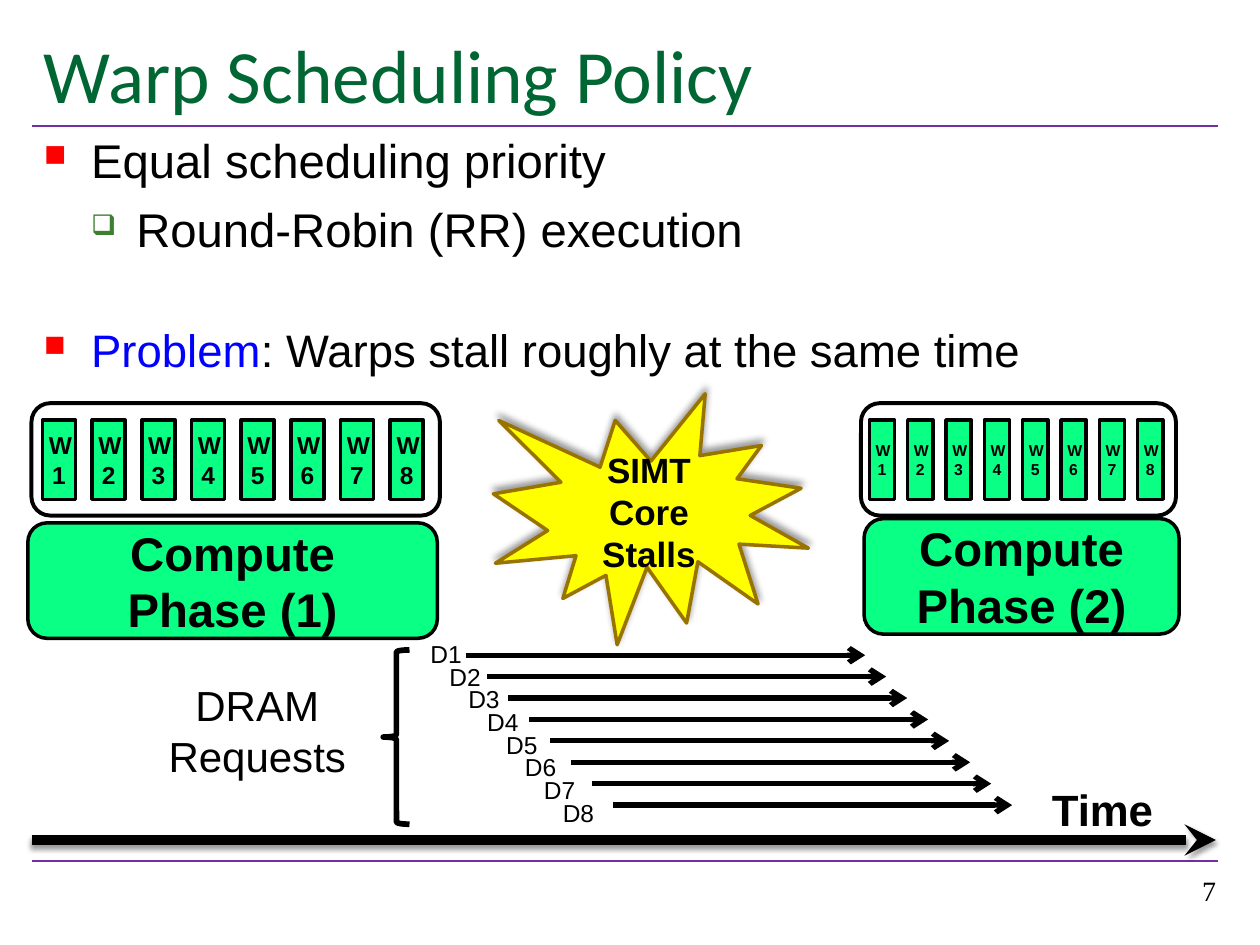
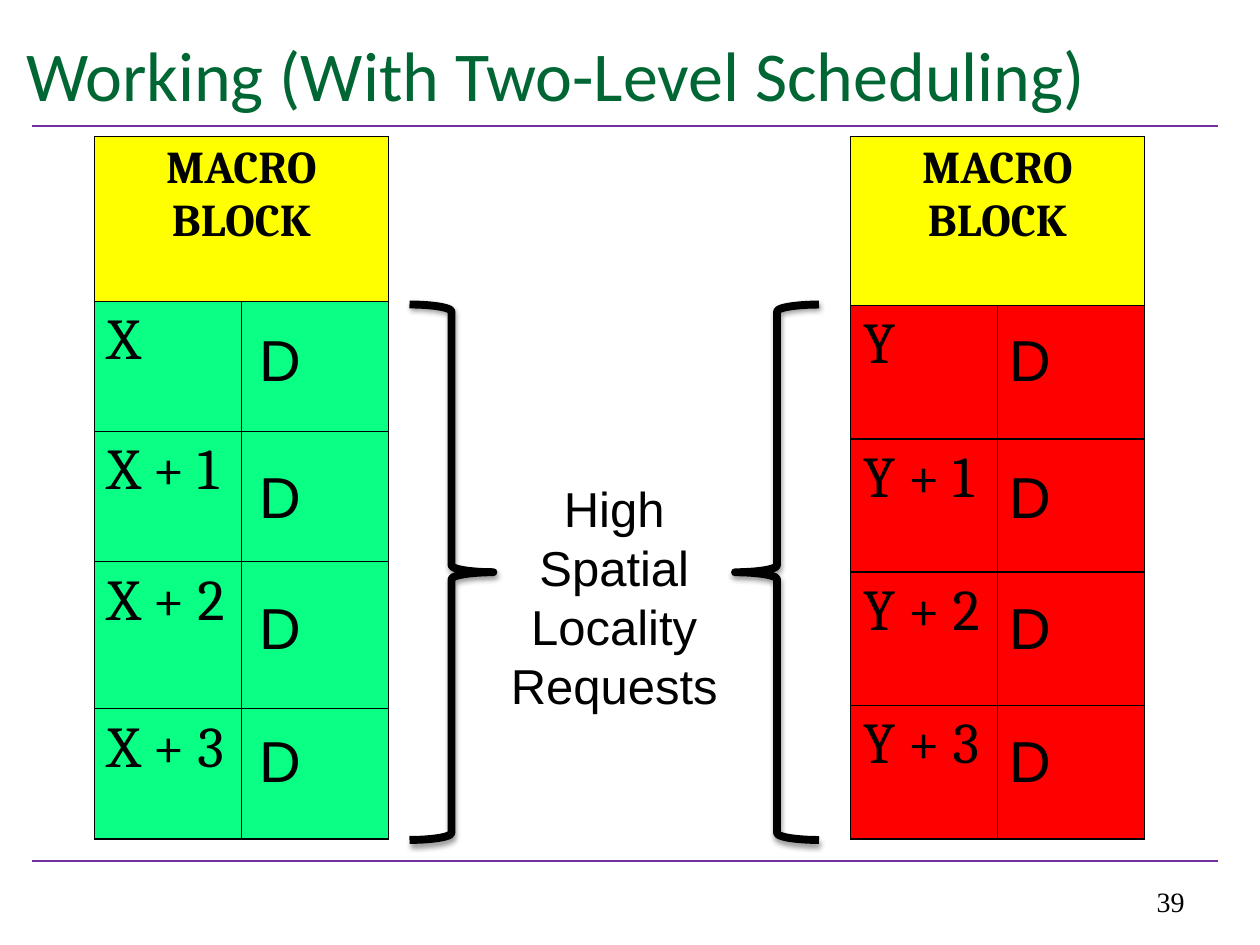
from lxml.etree import SubElement
from pptx import Presentation
from pptx.dml.color import RGBColor
from pptx.enum.shapes import MSO_CONNECTOR, MSO_SHAPE
from pptx.enum.text import MSO_ANCHOR, PP_ALIGN
from pptx.oxml import parse_xml
from pptx.oxml.ns import nsdecls, qn
from pptx.util import Emu, Pt

# Grid: 120 columns by 90 rows of square cells, twelve to the inch
COLS, ROWS, CELL = 120, 90, 76200
COLORS = {"title": "006633", "rule": "7030A0", "text": "000000", "key": "0000FF",
          "bullet": "FF0000", "sub": "3B812F", "green": "0AFF85", "red": "FF0000",
          "yellow": "FFFF00", "gold": "997300", "white": "FFFFFF"}
TIGHT = (0.6, 0.36)
ROOMY = (1.2, 0.6)
SOFT = {"alpha": 38, "blur": 3.1, "dist": 1.6, "dir": 90}
SEAL = {"alpha": 40, "blur": 4, "dist": 3, "dir": 270}
CENTER, RIGHT = PP_ALIGN.CENTER, PP_ALIGN.RIGHT
MIDDLE, BOTTOM, TOP = MSO_ANCHOR.MIDDLE, MSO_ANCHOR.BOTTOM, MSO_ANCHOR.TOP


def grid(*cells):
    return [Emu(round(n * CELL)) for n in cells]


def rgb(name):
    return RGBColor.from_string(COLORS[name])


def add_run(p, text, size, color="text", name="Arial", bold=False):
    r = p.add_run()
    r.text = text
    for key, value in {"size": Pt(size), "name": name, "bold": bold}.items():
        setattr(r.font, key, value)
    r.font.color.rgb = rgb(color)


def fill_text(tf, lines, size, align=None, **font):
    for i, line in enumerate(lines):
        p = tf.add_paragraph() if i else tf.paragraphs[0]
        p.alignment = align
        add_run(p, line, size, **font)


def set_frame(tf, anchor, inset):
    x, y = grid(*inset)
    frame = {"word_wrap": True, "vertical_anchor": anchor, "margin_left": x,
             "margin_right": x, "margin_top": y, "margin_bottom": y}
    for key, value in frame.items():
        setattr(tf, key, value)


def add_text(slide, box, lines, size, anchor=TOP, inset=ROOMY, **style):
    tf = slide.shapes.add_textbox(*grid(*box)).text_frame
    set_frame(tf, anchor, inset)
    fill_text(tf, lines, size, **style)
    return tf


def set_effect(sp, shadow=None):
    """Replace the theme shadow by the given one, or by none."""
    effects = SubElement(sp._element.spPr, qn("a:effectLst"))
    if shadow:
        effects.append(parse_xml(
            f'<a:outerShdw {nsdecls("a")} blurRad="{Pt(shadow["blur"])}" '
            f'dist="{Pt(shadow["dist"])}" dir="{shadow["dir"] * 60000}" rotWithShape="0">'
            f'<a:srgbClr val="000000"><a:alpha val="{shadow["alpha"] * 1000}"/>'
            '</a:srgbClr></a:outerShdw>'))


def add_box(slide, kind, box, fill=None, line="text", width=2, shadow=None,
            lines=(), size=12, inset=TIGHT):
    sp = slide.shapes.add_shape(kind, *grid(*box))
    if fill:
        sp.fill.solid()
        sp.fill.fore_color.rgb = rgb(fill)
    else:
        sp.fill.background()
    sp.line.color.rgb = rgb(line)
    sp.line.width = Pt(width)
    set_effect(sp, shadow)
    if lines:
        set_frame(sp.text_frame, MIDDLE, inset)
        fill_text(sp.text_frame, lines, size, align=CENTER, bold=True)
    return sp


def add_line(slide, x, y, length, color="text", width=3.0, tail=None, shadow=None):
    sp = slide.shapes.add_connector(MSO_CONNECTOR.STRAIGHT, *grid(x, y, x + length, y))
    sp.line.color.rgb = rgb(color)
    sp.line.width = Pt(width)
    if tail:
        SubElement(sp.line._get_or_add_ln(), qn("a:tailEnd"), type=tail)
    set_effect(sp, shadow)


def add_bullet(p, char, color, percent, margin, indent):
    pPr = p._p.get_or_add_pPr()
    left, first = grid(margin, indent)
    pPr.set("marL", str(left))
    pPr.set("indent", str(-first))
    clr = SubElement(pPr, qn("a:buClr"))
    SubElement(clr, qn("a:srgbClr"), val=COLORS[color])
    SubElement(pPr, qn("a:buSzPct"), val=str(percent * 1000))
    SubElement(pPr, qn("a:buChar"), char=char)


def add_bullets(slide, box, items):
    tf = slide.shapes.add_textbox(*grid(*box)).text_frame
    set_frame(tf, TOP, ROOMY)
    marks = [("■", "bullet", 65, 4.5, 4.5), ("❑", "sub", 60, 8.8, 4.3)]
    for i, (level, gap, size, runs) in enumerate(items):
        p = tf.add_paragraph() if i else tf.paragraphs[0]
        p.level = level
        p.space_before = Pt(gap)
        add_bullet(p, *marks[level])
        for text, color in runs:
            add_run(p, text, size, color)


def add_base(prs, title, title_box, title_size, number, number_box):
    """A blank slide with the shared rules, title and page number."""
    slide = prs.slides.add_slide(prs.slide_layouts[6])
    for y in (82, 12):
        add_line(slide, 3, y, 113, "rule", 1.5)
    add_text(slide, title_box, [title], title_size, MIDDLE, color="title", name="Calibri")
    add_text(slide, number_box, [number], 16, BOTTOM, align=RIGHT, name="Times New Roman")
    return slide


def add_warps(slide, frame, fill, first, step, width, size):
    """A rounded frame with a row of eight warps."""
    add_box(slide, MSO_SHAPE.ROUNDED_RECTANGLE, frame, fill, width=2.25)
    for i in range(8):
        add_box(slide, MSO_SHAPE.RECTANGLE, (first + i * step, 40, width, 7.56),
                "green", lines=[f"W{i + 1}"], size=size)


def add_phase(slide, box, lines):
    add_box(slide, MSO_SHAPE.ROUNDED_RECTANGLE, box, "green", lines=lines, size=27)


def set_cell(cell, fill, lines, size, **style):
    cell.fill.solid()
    cell.fill.fore_color.rgb = rgb(fill)
    tcPr = cell._tc.get_or_add_tcPr()
    for i, side in enumerate(("lnL", "lnR", "lnT", "lnB")):
        tcPr.insert(i, parse_xml(
            f'<a:{side} {nsdecls("a")} w="{Pt(1)}"><a:solidFill>'
            f'<a:srgbClr val="{COLORS["text"]}"/></a:solidFill></a:{side}>'))
    fill_text(cell.text_frame, lines, size, name="Cambria", **style)


def add_macro_block(slide, x, letter, fill, heights):
    """A headed table of four addresses, with an empty second column."""
    shape = slide.shapes.add_table(len(heights), 2, *grid(x, 13, 28, sum(heights)))
    table = shape.table
    table.first_row = table.horz_banding = False
    for column in table.columns:
        column.width = grid(14)[0]
    for row, height in zip(table.rows, grid(*heights)):
        row.height = height
    table.cell(0, 0).merge(table.cell(0, 1))
    set_cell(table.cell(0, 0), "yellow", ["MACRO", "BLOCK"], 26, align=CENTER, bold=True)
    set_cell(table.cell(0, 1), "yellow", [], 26)
    for i in range(1, len(heights)):
        label = f"{letter} + {i - 1}" if i > 1 else letter
        set_cell(table.cell(i, 0), fill, [label], 33)
        set_cell(table.cell(i, 1), fill, [], 33)


def build_policy(prs):
    slide = add_base(prs, "Warp Scheduling Policy", (3, 2, 113, 10), 43,
                     "7", (89, 81, 28, 6))
    add_bullets(slide, (3, 11.9, 113, 33.1), [
        (0, 2, 27, [("Equal scheduling priority", "text")]),
        (1, 7, 27, [("Round-Robin (RR) execution", "text")]),
        (0, 37.5, 26, [("Problem", "key"),
                       (": Warps stall roughly at the same time", "text")])])
    add_box(slide, MSO_SHAPE.EXPLOSION1, (47, 37.5, 30, 23.9), "yellow", "gold",
            shadow=SEAL, lines=["SIMT Core Stalls"], size=20, inset=ROOMY)

    # Time axis
    add_line(slide, 3, 80, 112.8, width=6, tail="stealth", shadow=SOFT)
    add_text(slide, (99, 74, 21, 6.2), ["Time"], 25, bold=True)

    # Compute phases
    add_phase(slide, (82.3, 49.4, 30, 11), ["Compute Phase (2)"])
    add_warps(slide, (82, 38.4, 30, 10.7), "white", 82.8, 3.65, 2.4, 9)
    add_warps(slide, (3, 38.4, 38.9, 10.7), None, 4.05, 4.73, 3.15, 14)
    add_phase(slide, (2.65, 49.8, 39, 11), ["Compute", "Phase (1)"])

    # Staggered DRAM requests
    add_box(slide, MSO_SHAPE.LEFT_BRACE, (36.5, 61.9, 2.5, 16.6), width=3.25)
    add_text(slide, (14.4, 64.4, 20.2, 10.3), ["DRAM", "Requests"], 24,
             inset=TIGHT, align=CENTER)
    for i in range(8):
        add_line(slide, 44.4 + 2 * i, 62.4 + 2.04 * i, 38, tail="arrow")
        add_text(slide, (40.4 + 1.8 * i, 60.5 + 2.16 * i, 5.4, 3.5), [f"D{i + 1}"], 14,
                 inset=TIGHT)


def build_two_level(prs):
    slide = add_base(prs, "Working (With Two-Level Scheduling)", (1.3, 2, 122, 10), 40,
                     "39", (86, 82, 28, 6))
    add_macro_block(slide, 9, "X", "green", [15.7, 12.4, 12.4, 14, 12.4])
    add_macro_block(slide, 81, "Y", "red", [16.1] + [12.7] * 4)

    # Data marks over the second columns
    for x in (23.5, 95):
        for y in (27.3, 40.4, 52.9, 65.5):
            add_text(slide, (x, y, 14, 13.6), ["D"], 33, MIDDLE)

    # Braces around the caption
    for x, turn in ((39, 0), (70, 180)):
        sp = add_box(slide, MSO_SHAPE.RIGHT_BRACE, (x, 29, 8, 51), width=4.5, shadow=SOFT)
        sp.rotation = turn
    add_text(slide, (47, 45, 23, 23.9), ["High Spatial Locality Requests"], 28, align=CENTER)


def main():
    prs = Presentation()
    prs.slide_width, prs.slide_height = grid(COLS, ROWS)
    build_policy(prs)
    build_two_level(prs)
    prs.save("out.pptx")


main()
